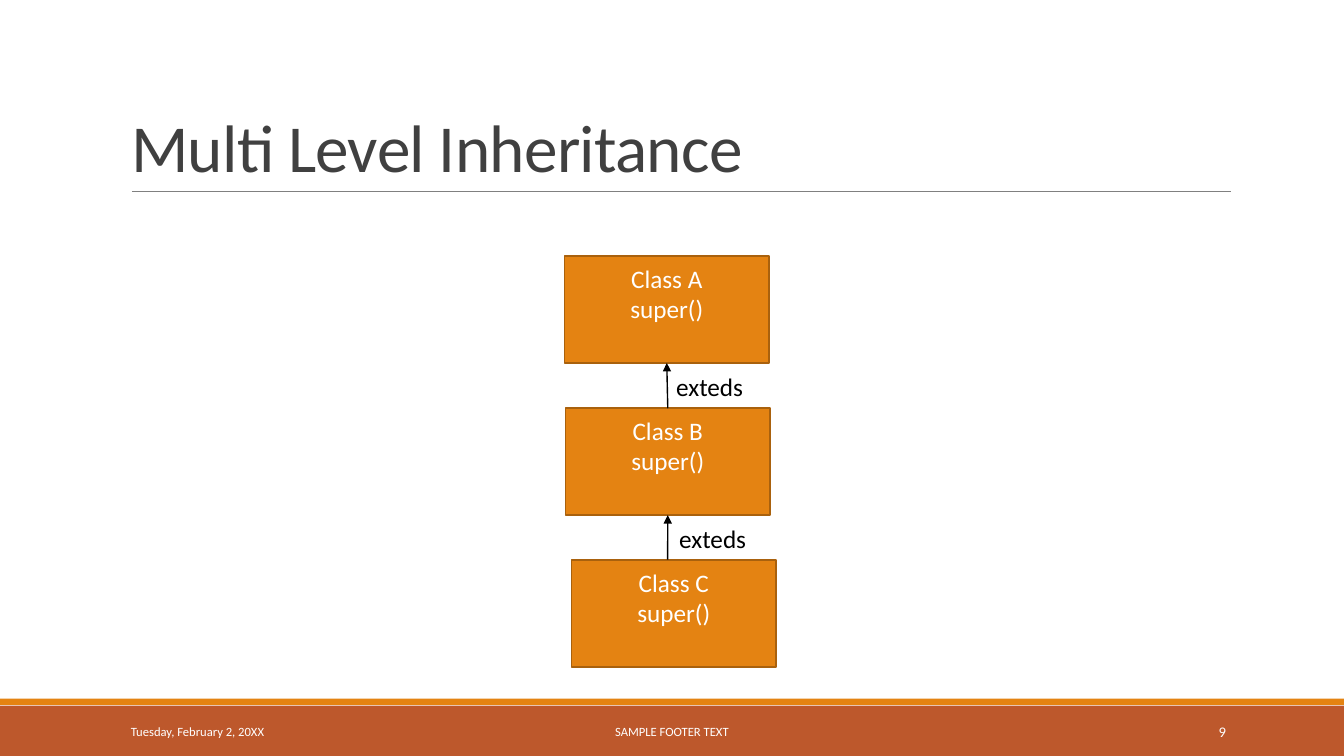
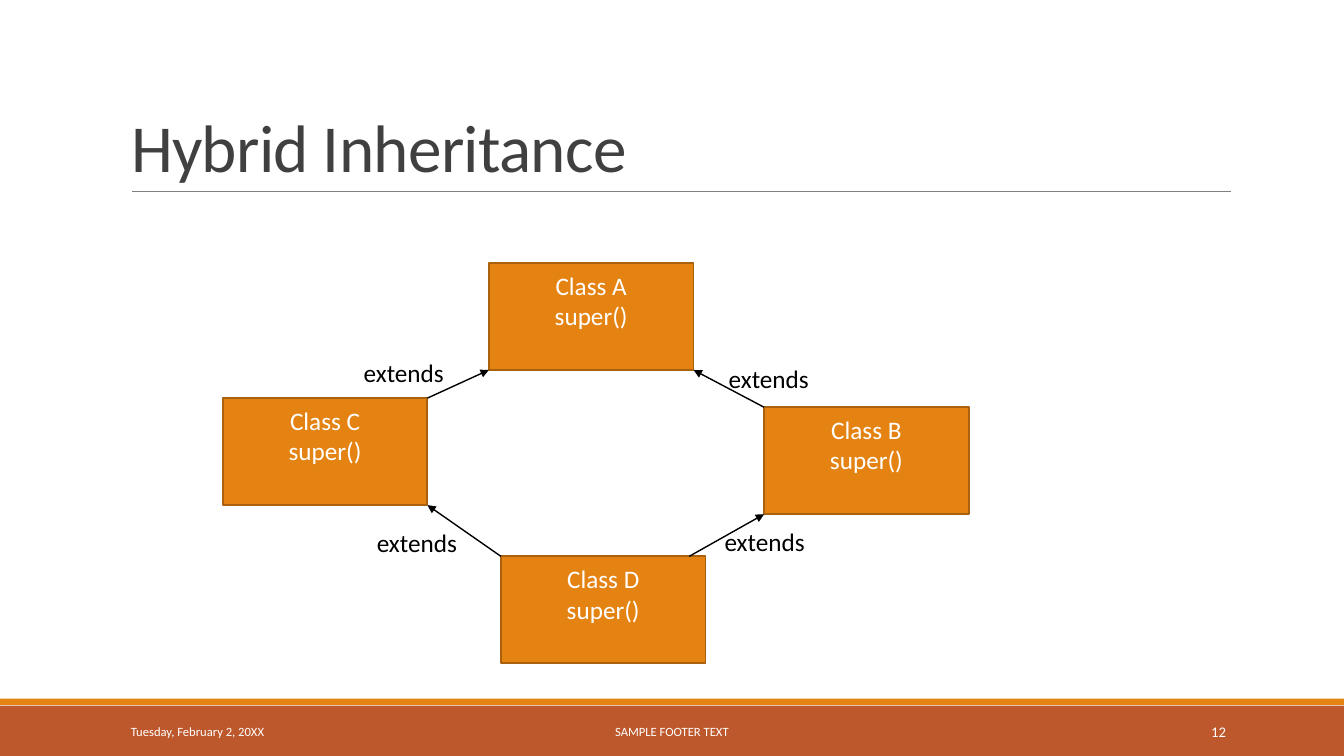
from lxml.etree import SubElement
from pptx import Presentation
from pptx.dml.color import RGBColor
from pptx.enum.shapes import MSO_CONNECTOR, MSO_SHAPE
from pptx.enum.text import MSO_ANCHOR, MSO_AUTO_SIZE, PP_ALIGN
from pptx.oxml.ns import qn
from pptx.util import Pt

WHITE, BLACK, DARK, GRAY = "FFFFFF", "000000", "404040", "808080"
ORANGE, BROWN, RUST = "E48312", "A9610D", "BD582C"
CLASS_WIDTH, CLASS_HEIGHT = 146.2, 76.4

DIAGRAMS = [
    {
        "title": "Multi Level Inheritance",
        "number": "9",
        "classes": {"A": (403.2, 182.9), "B": (403.9, 291.6), "C": (408.2, 399.8)},
        "extends": [
            ("B", 0.5, "A", 0.5, "exteds", 475.9, 261.4),
            ("C", 0.47, "B", 0.5, "exteds", 478.1, 370.1),
        ],
    },
    {
        "title": "Hybrid Inheritance",
        "number": "12",
        "classes": {"A": (349.2, 187.9), "C": (159.1, 284.4),
                    "B": (545.8, 290.9), "D": (357.8, 397.4)},
        "extends": [
            ("C", 1, "A", 0, "extends", 252.7, 252),
            ("B", 0, "A", 1, "extends", 513.4, 255.6),
            ("D", 0, "C", 1, "extends", 262.1, 373),
            ("D", 0.92, "B", 0, "extends", 510.5, 372.2),
        ],
    },
]

FOOTER = [
    ("Tuesday, February 2, 20XX", 86.4, 194.4, 9, PP_ALIGN.LEFT),
    ("SAMPLE FOOTER TEXT", 290.2, 379.4, 9, PP_ALIGN.CENTER),
    (None, 779.8, 103, 10.5, PP_ALIGN.RIGHT),
]


def color(part, value):
    part.rgb = RGBColor.from_string(value)


def write(shape, text, size=18, ink=BLACK, align=PP_ALIGN.LEFT,
          anchor=MSO_ANCHOR.TOP, top=3.6, line_spacing=None, tracking=None):
    frame = shape.text_frame
    frame.word_wrap = True
    frame.auto_size = MSO_AUTO_SIZE.NONE
    frame.vertical_anchor = anchor
    frame.margin_top = Pt(top)
    frame.text = text
    for paragraph in frame.paragraphs:
        paragraph.alignment = align
        paragraph.line_spacing = line_spacing
        for run in paragraph.runs:
            run.font.name = "Calibri"
            run.font.size = Pt(size)
            color(run.font.color, ink)
            if tracking is not None:
                run.font._element.set("spc", str(round(tracking * 100)))


deck = Presentation()
deck.slide_width, deck.slide_height = Pt(960), Pt(540)

for diagram in DIAGRAMS:
    slide = deck.slides.add_slide(deck.slide_layouts[5])
    shapes = slide.shapes

    title = shapes.title
    title.left, title.top, title.width, title.height = Pt(86.4), Pt(22.6), Pt(792), Pt(114.2)
    write(title, diagram["title"], size=48, ink=DARK, anchor=MSO_ANCHOR.BOTTOM,
          line_spacing=0.85, tracking=-0.5)

    for top, height, tone in [(504, 36, RUST), (499, 4.6, ORANGE)]:
        band = shapes.add_shape(MSO_SHAPE.RECTANGLE, 0, Pt(top), Pt(960), Pt(height))
        band.shadow.inherit = False
        band.fill.solid()
        color(band.fill.fore_color, tone)
        band.line.fill.background()

    for text, left, width, size, align in FOOTER:
        note = shapes.add_textbox(Pt(left), Pt(508.3), Pt(width), Pt(28.8))
        write(note, text or diagram["number"], size=size, ink=WHITE, align=align,
              anchor=MSO_ANCHOR.MIDDLE)

    for name, (left, top) in diagram["classes"].items():
        box = shapes.add_shape(MSO_SHAPE.RECTANGLE, Pt(left), Pt(top),
                               Pt(CLASS_WIDTH), Pt(CLASS_HEIGHT))
        box.shadow.inherit = False
        box.fill.solid()
        color(box.fill.fore_color, ORANGE)
        color(box.line.color, BROWN)
        box.line.width = Pt(1.25)
        write(box, f"Class {name}\nsuper()", ink=WHITE, align=PP_ALIGN.CENTER, top=5.2)

    strokes = [(94.3, 136.8, 879.1, 136.8, GRAY, 0.5, False)]
    for child, child_share, parent, parent_share, label, left, top in diagram["extends"]:
        child_left, child_top = diagram["classes"][child]
        parent_left, parent_top = diagram["classes"][parent]
        strokes.append((child_left + child_share * CLASS_WIDTH, child_top,
                        parent_left + parent_share * CLASS_WIDTH,
                        parent_top + CLASS_HEIGHT, BLACK, 1, True))
        caption = shapes.add_textbox(Pt(left), Pt(top), Pt(95.8), Pt(29))
        write(caption, label)

    for start_x, start_y, end_x, end_y, tone, weight, has_arrow in strokes:
        stroke = shapes.add_connector(MSO_CONNECTOR.STRAIGHT, Pt(start_x), Pt(start_y),
                                      Pt(end_x), Pt(end_y))
        color(stroke.line.color, tone)
        stroke.line.width = Pt(weight)
        if has_arrow:
            SubElement(stroke.line._get_or_add_ln(), qn("a:tailEnd"), type="triangle")
        SubElement(stroke._element.spPr, qn("a:effectLst"))

deck.save("out.pptx")
